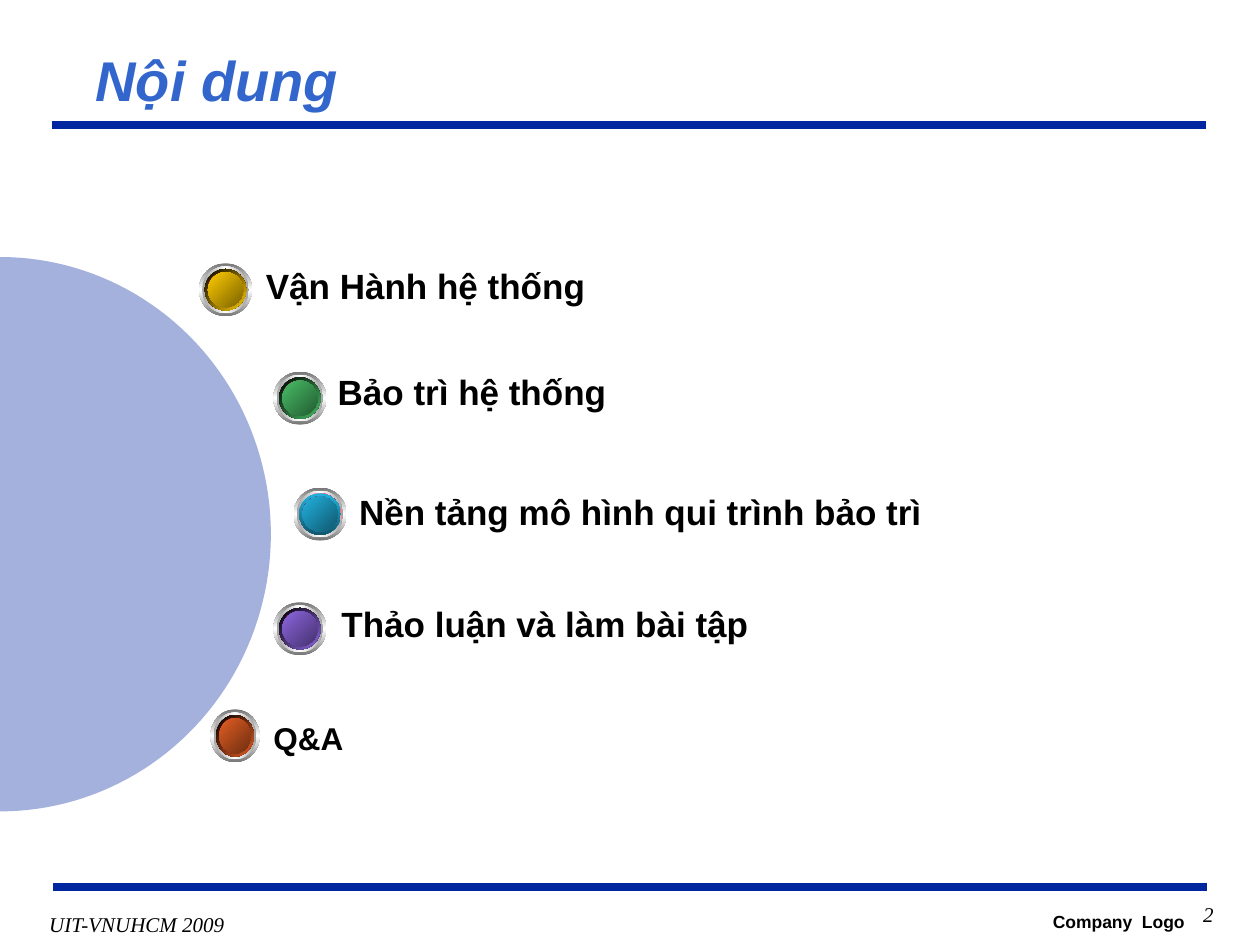
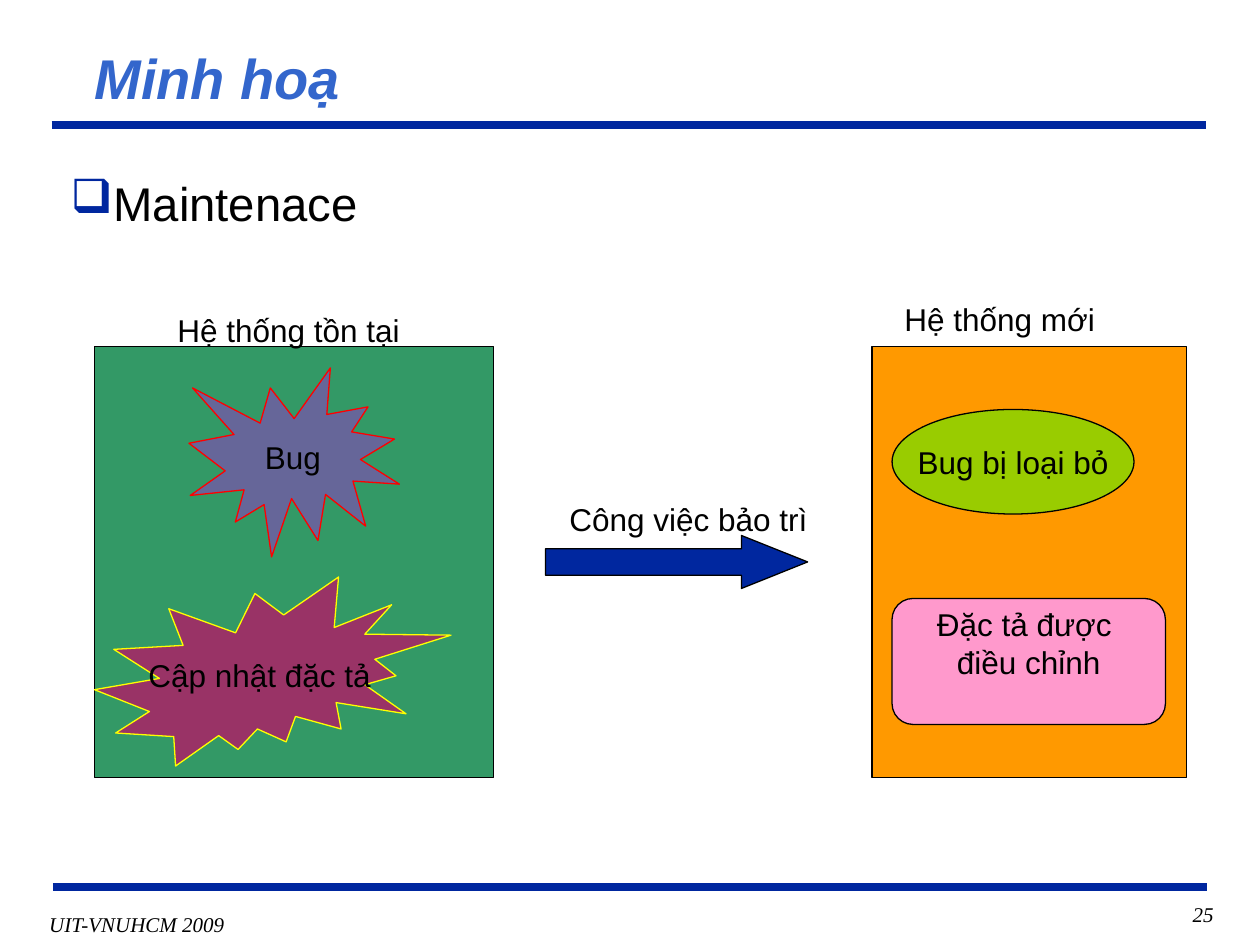
import math

from lxml import etree
from pptx import Presentation
from pptx import util as u
from pptx.dml import color
from pptx.enum import shapes, text
from pptx.oxml import ns

# Shared look
NAVY, TITLE_BLUE, BLACK, WHITE = "00279F", "3366CC", "000000", "FFFFFF"
SANS, SERIF = "Arial", "Times New Roman"
LEFT, CENTER, RIGHT = text.PP_ALIGN.LEFT, text.PP_ALIGN.CENTER, text.PP_ALIGN.RIGHT
TOP, MIDDLE, BOTTOM = (text.MSO_ANCHOR.TOP, text.MSO_ANCHOR.MIDDLE,
                       text.MSO_ANCHOR.BOTTOM)
SHAPE = shapes.MSO_SHAPE
NORMAL_INSETS = (0.1, 0.05, 0.1, 0.05)
TIGHT_INSETS = (0.09, 0.04, 0.09, 0.04)

# Agenda: label, size, label left and top, button left, top and width, light, dark
AGENDA = [
    ("Vận Hành hệ thống", 20, 1.93, 1.99, 1.58, 2.09, 0.42, "FFCC00", "7C6300"),
    ("Bảo trì hệ thống", 20, 2.5, 2.83, 2.17, 2.95, 0.42, "48BE67", "235C32"),
    ("Nền tảng mô hình qui trình bảo trì", 20, 2.67, 3.78, 2.33, 3.87, 0.42,
     "21B3E1", "10576D"),
    ("Thảo luận và làm bài tập", 20, 2.53, 4.67, 2.17, 4.78, 0.42,
     "8D67E1", "45326D"),
    ("Q&A", 18, 1.99, 5.58, 1.67, 5.63, 0.39, "E35E23", "6E2E11"),
]


def rgb(value):
    return color.RGBColor.from_string(value)


def inches(values):
    return [u.Inches(value) for value in values]


def write(shape, words, size=18, font=SANS, ink=BLACK, bold=False, italic=False,
          align=LEFT, anchor=TOP, insets=NORMAL_INSETS, wrap=True, before=0):
    """Put one paragraph per line of words into a shape."""
    frame = shape.text_frame
    frame.text = words
    frame.word_wrap = wrap
    frame.vertical_anchor = anchor
    (frame.margin_left, frame.margin_top,
     frame.margin_right, frame.margin_bottom) = inches(insets)
    for para in frame.paragraphs:
        para.alignment = align
        para.space_before = u.Pt(before)
        for span in para.runs:
            span.font.name = font
            span.font.size = u.Pt(size)
            span.font.bold = bold
            span.font.italic = italic
            span.font.color.rgb = rgb(ink)


def add_text(page, at, words, **style):
    box = page.shapes.add_textbox(*inches(at))
    write(box, words, **style)
    return box


def add_box(page, kind, at, fill=None, line=None, width=0.75, adjust=()):
    """Add a preset shape; without fill or line that part stays empty."""
    shape = page.shapes.add_shape(kind, *inches(at))
    shape.shadow.inherit = False
    for index, value in enumerate(adjust):
        shape.adjustments[index] = value
    if fill:
        shape.fill.solid()
        shape.fill.fore_color.rgb = rgb(fill)
    else:
        shape.fill.background()
    if line:
        shape.line.color.rgb = rgb(line)
        shape.line.width = u.Pt(width)
    else:
        shape.line.fill.background()
    return shape


def add_rule(page, left, top, right):
    rule = page.shapes.add_connector(shapes.MSO_CONNECTOR.STRAIGHT,
                                     *inches((left, top, right, top)))
    rule.line.color.rgb = rgb(NAVY)
    rule.line.width = u.Pt(4.5)
    etree.SubElement(rule._element.spPr, ns.qn("a:effectLst"))


def set_gradient(shape, colours, angle):
    """Spread the colours evenly along a clockwise angle."""
    shape.fill.gradient()
    gradient = shape._element.spPr.find(ns.qn("a:gradFill"))
    stops = gradient.find(ns.qn("a:gsLst"))
    for stop in list(stops):
        stops.remove(stop)
    for index, value in enumerate(colours):
        position = 100000 * index // (len(colours) - 1)
        stop = etree.SubElement(stops, ns.qn("a:gs"), pos=str(position))
        etree.SubElement(stop, ns.qn("a:srgbClr"), val=value)
    gradient.find(ns.qn("a:lin")).set("ang", str(angle * 60000))


def add_button(page, left, top, width, light, dark):
    """Stack gradient discs into a bevelled button."""
    glow, red = (WHITE, "FC0128", WHITE), ("880116", "FC0128", "880116")
    discs = [
        (0, ("767676", WHITE, "767676"), 90),
        (0.025, ("A2A2A2", WHITE, "A2A2A2"), 0),
        (0.045, glow, 45),
        (0.045, (light, dark) if light == "21B3E1" else (BLACK, light),
         90 if light == "21B3E1" else 45),
        (0.07, red, 315),
        (0.07, (light, dark), 45),
    ]
    for inset, colours, angle in discs:
        at = (left + inset, top + inset, width - 2 * inset, 0.42 - 2 * inset)
        set_gradient(add_box(page, SHAPE.OVAL, at), colours, angle)


def add_half_disc(page, middle, radius_x, radius_y, steps=90):
    """Draw the translucent half disc on the left edge."""
    angles = [math.pi * (step / steps - 0.5) for step in range(steps + 1)]
    points = [(u.Inches(radius_x * math.cos(angle)),
               u.Inches(middle + radius_y * math.sin(angle))) for angle in angles]
    builder = page.shapes.build_freeform(*points[0])
    builder.add_line_segments(points[1:], close=True)
    disc = builder.convert_to_shape()
    disc.shadow.inherit = False
    disc.line.fill.background()
    disc.fill.solid()
    disc.fill.fore_color.rgb = rgb(NAVY)
    tint = disc._element.spPr.find(ns.qn("a:solidFill"))[0]
    etree.SubElement(tint, ns.qn("a:alpha"), val="36000")


def add_bullet(para, mark, indent):
    props = para._p.get_or_add_pPr()
    props.set("marL", str(u.Inches(indent)))
    props.set("indent", str(-u.Inches(indent)))
    tint = etree.SubElement(props, ns.qn("a:buClr"))
    etree.SubElement(tint, ns.qn("a:srgbClr"), val=NAVY)
    etree.SubElement(props, ns.qn("a:buChar"), char=mark)


def add_page(deck, title, number, **title_style):
    """Start a page with the shared rules, footer, number and title."""
    page = deck.slides.add_slide(deck.slide_layouts[6])
    add_rule(page, 0.41, 0.99, 9.57)
    add_rule(page, 0.42, 7.04, 9.58)
    small = dict(size=12, font=SERIF, italic=True)
    add_text(page, (0.29, 7.19, 1.59, 0.29), "UIT-VNUHCM 2009", align=CENTER,
             insets=TIGHT_INSETS, wrap=False, before=3, **small)
    add_text(page, (8.48, 7.11, 1.25, 0.33), number, align=RIGHT, **small)
    add_text(page, (0.66, 0.33, 8.87, 0.59), title, size=32, ink=TITLE_BLUE,
             bold=True, italic=True, **title_style)
    return page


def build_agenda(deck):
    page = add_page(deck, "Nội dung", "2", anchor=MIDDLE)
    add_text(page, (7.83, 7.18, 1.67, 0.32), "Company  Logo", size=10, bold=True,
             align=RIGHT)
    add_half_disc(page, 4.24, 2.15, 2.2)
    for label, size, left, top, *button in AGENDA:
        pill = add_box(page, SHAPE.ROUNDED_RECTANGLE, (left, top, 4.83, 0.56),
                       line=WHITE, width=2.25, adjust=[0.5])
        write(pill, label, size=size, bold=True, anchor=MIDDLE, wrap=False)
        add_button(page, *button)


def build_illustration(deck):
    page = add_page(deck, "Minh hoạ", "25", anchor=BOTTOM, insets=TIGHT_INSETS)
    body = add_text(page, (0.47, 1.34, 8.98, 5.49), "Maintenace", size=27,
                    insets=TIGHT_INSETS, before=6.8)
    add_bullet(body.text_frame.paragraphs[0], "❑", 0.34)
    centred = dict(align=CENTER, anchor=MIDDLE, wrap=False)

    # Existing system
    add_box(page, SHAPE.RECTANGLE, (0.75, 2.75, 3.17, 3.42), "339966", BLACK)
    bug = add_box(page, SHAPE.EXPLOSION1, (1.5, 2.92, 1.67, 1.5), "666699", "FF0000")
    write(bug, "Bug", **centred)
    update = add_box(page, SHAPE.EXPLOSION2, (0.75, 4.58, 2.83, 1.5),
                     "993366", "FFFF00")
    write(update, "Cập nhật đặc tả", **centred)
    add_text(page, (0.83, 2.42, 2.92, 0.4), "Hệ thống tồn tại", align=CENTER,
             before=11.2)

    # Maintenance work
    add_box(page, SHAPE.RIGHT_ARROW, (4.33, 4.25, 2.08, 0.42), NAVY, BLACK,
            adjust=[0.5, 1.25])

    # New system
    add_box(page, SHAPE.RECTANGLE, (6.92, 2.75, 2.5, 3.42), "FF9900", BLACK)
    fixed = add_box(page, SHAPE.OVAL, (7.08, 3.25, 1.92, 0.83), "99CC00", BLACK)
    write(fixed, "Bug bị loại bỏ", **centred)
    add_text(page, (7.08, 2.33, 2.25, 0.4), "Hệ thống mới", before=11.2)
    add_text(page, (4.42, 3.92, 2.25, 0.4), "Công việc bảo trì", before=11.2)
    adjusted = add_box(page, SHAPE.FLOWCHART_ALTERNATE_PROCESS,
                       (7.08, 4.75, 2.17, 1), "FF99CC", BLACK)
    write(adjusted, "Đặc tả được \nđiều chỉnh", insets=(0.1, 0.05, 0.1, 0.35),
          **centred)


def main():
    deck = Presentation()
    deck.slide_width, deck.slide_height = u.Inches(10), u.Inches(7.5)
    build_agenda(deck)
    build_illustration(deck)
    deck.save("out.pptx")


if __name__ == "__main__":
    main()
